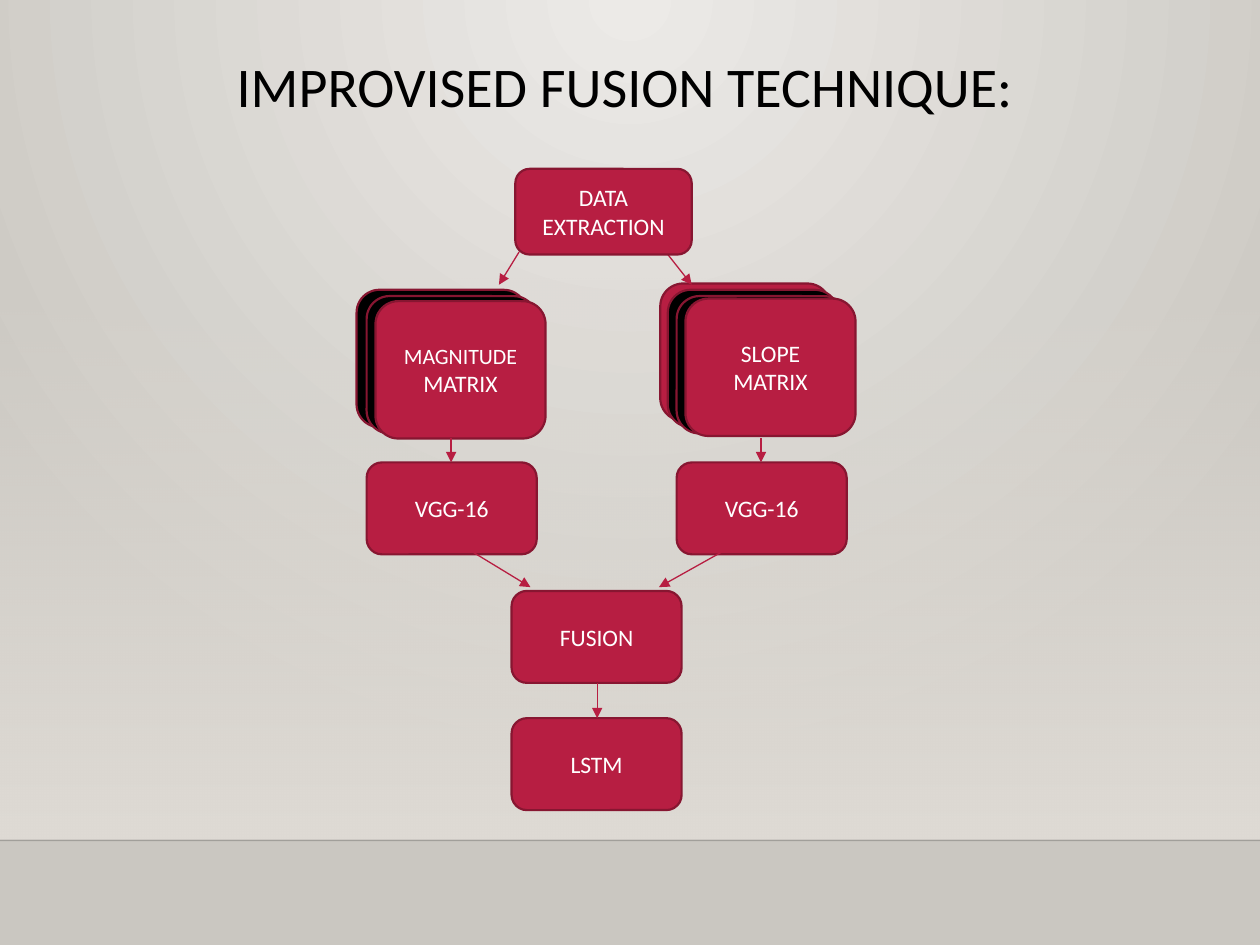
from dataclasses import dataclass

from lxml import etree
from pptx import Presentation
from pptx import util as u
from pptx.dml.color import RGBColor
from pptx.enum import shapes, text
from pptx.oxml import ns


@dataclass(frozen=True)
class Theme:
    font: str = "Calibri"
    title_size: float = 32
    label_size: float = 13.5
    small_size: float = 12.5
    red: str = "B71E42"
    dark_red: str = "871631"
    black: str = "000000"
    white: str = "FFFFFF"
    glow: str = "ECEAE7"
    edge: str = "CAC7C1"
    wall: str = "DFDBD5"
    floor_line: str = "000001"


THEME = Theme()
BOX_W, BOX_H, CARD_H = 1.35, 0.73, 1.09


def rgb(value):
    return RGBColor.from_string(value)


def inches(*values):
    return [u.Inches(v) for v in values]


def add_xml(parent, tag, **attrs):
    return etree.SubElement(parent, ns.qn(tag), attrs)


def set_gradient(fill, start, end):
    fill.gradient()
    for stop, color, position in zip(fill.gradient_stops, (start, end), (0, 1)):
        stop.color.rgb = rgb(color)
        stop.position = position


def set_alpha(element, percent):
    """Make the first colour inside the element see-through."""
    color = next(element.iter(ns.qn("a:srgbClr")))
    add_xml(color, "a:alpha", val=str(percent * 1000))


def add_run(p, words, size, color):
    r = p.add_run()
    r.text = words
    r.font.name, r.font.size = THEME.font, u.Pt(size)
    r.font.color.rgb = rgb(color)


def add_line(s, x1, y1, x2, y2, color, width):
    line = s.shapes.add_connector(
        shapes.MSO_CONNECTOR.STRAIGHT, *inches(x1, y1, x2, y2))
    line.line.color.rgb = rgb(color)
    line.line.width = u.Pt(width)
    add_xml(line._element.spPr, "a:effectLst")
    return line


def add_arrow(s, x1, y1, x2, y2):
    arrow = add_line(s, x1, y1, x2, y2, THEME.red, 0.75)
    add_xml(arrow.line._get_or_add_ln(), "a:tailEnd", type="triangle")


def add_box(s, x, y, w, h, lines=(), fill=THEME.red):
    """Rounded box; lines holds (words, size) pairs."""
    sp = s.shapes.add_shape(
        shapes.MSO_SHAPE.ROUNDED_RECTANGLE, *inches(x, y, w, h))
    sp.shadow.inherit = False
    sp.fill.solid()
    sp.fill.fore_color.rgb = rgb(fill)
    sp.line.color.rgb = rgb(THEME.dark_red)
    sp.line.width = u.Pt(1.25)
    tf = sp.text_frame
    tf.word_wrap = True
    tf.vertical_anchor = text.MSO_ANCHOR.MIDDLE
    tf.margin_left = tf.margin_right = u.Inches(0.07)
    tf.margin_top = tf.margin_bottom = u.Inches(0.04)
    for i, (words, size) in enumerate(lines):
        p = tf.add_paragraph() if i else tf.paragraphs[0]
        p.alignment = text.PP_ALIGN.CENTER
        add_run(p, words, size, THEME.white)


def add_stack(s, back_cards, front, lines):
    """Cards piled behind a labelled front card."""
    for x, y, fill in back_cards:
        add_box(s, x, y, BOX_W, CARD_H, fill=fill)
    add_box(s, *front, BOX_W, CARD_H, lines)


def add_backdrop(s):
    # Radial glow from the top centre
    set_gradient(s.background.fill, THEME.glow, THEME.edge)
    lin = next(s._element.iter(ns.qn("a:lin")))
    grad = lin.getparent()
    grad.remove(lin)
    glow = add_xml(grad, "a:path", path="circle")
    add_xml(glow, "a:fillToRect", l="43000", t="0", r="43000", b="100000")

    # Wall fading in towards the floor line
    wall = s.shapes.add_shape(
        shapes.MSO_SHAPE.RECTANGLE, *inches(0, 2.2, 10, 4.46))
    wall.shadow.inherit = False
    wall.line.fill.background()
    set_gradient(wall.fill, THEME.wall, THEME.wall)
    wall.fill.gradient_angle = 270
    set_alpha(wall._element.spPr, 0)
    floor = add_line(s, 0, 6.67, 10, 6.67, THEME.floor_line, 1)
    set_alpha(floor._element.spPr, 20)


def add_title(s, words):
    title = s.shapes.title
    title.left, title.top, title.width, title.height = inches(
        0.83, -0.05, 8.26, 1.25)
    tf = title.text_frame
    tf.word_wrap = True
    tf.auto_size = text.MSO_AUTO_SIZE.NONE
    tf.vertical_anchor = text.MSO_ANCHOR.BOTTOM
    tf.margin_bottom = u.Inches(0.25)
    p = tf.paragraphs[0]
    p.alignment = text.PP_ALIGN.CENTER
    p.line_spacing = 0.9
    add_run(p, words, THEME.title_size, THEME.black)


def main():
    prs = Presentation()
    prs.slide_width, prs.slide_height = inches(10, 7.5)
    s = prs.slides.add_slide(prs.slide_layouts[5])
    add_backdrop(s)
    add_title(s, "IMPROVISED FUSION TECHNIQUE:")

    # Network steps
    size = THEME.label_size
    for x, y, label in ((2.91, 3.67, "VGG-16"), (5.37, 3.67, "VGG-16"),
                        (4.06, 4.69, "FUSION"), (4.06, 5.7, "LSTM")):
        add_box(s, x, y, BOX_W, BOX_H, [(label, size)])

    # Matrix stacks
    add_stack(s, [(5.24, 2.25, THEME.red), (5.3, 2.3, THEME.black),
                  (5.37, 2.35, THEME.black)],
              (5.44, 2.37), [("SLOPE", size), ("MATRIX", size)])
    add_stack(s, [(2.83, 2.3, THEME.black), (2.91, 2.35, THEME.black)],
              (2.98, 2.39),
              [("MAGNITUDE", THEME.small_size), ("MATRIX", size)])

    # Flow arrows
    for ends in ((5.3, 2.02, 5.49, 2.26), (4.12, 2, 3.96, 2.26),
                 (5.73, 4.38, 5.23, 4.66), (3.75, 4.38, 4.21, 4.66),
                 (6.04, 3.48, 6.04, 3.67), (3.58, 3.48, 3.58, 3.67),
                 (4.74, 5.42, 4.74, 5.7)):
        add_arrow(s, *ends)

    # Starting step
    add_box(s, 4.09, 1.34, 1.4, 0.68, [("DATA", size), ("EXTRACTION", size)])
    prs.save("out.pptx")


if __name__ == "__main__":
    main()
